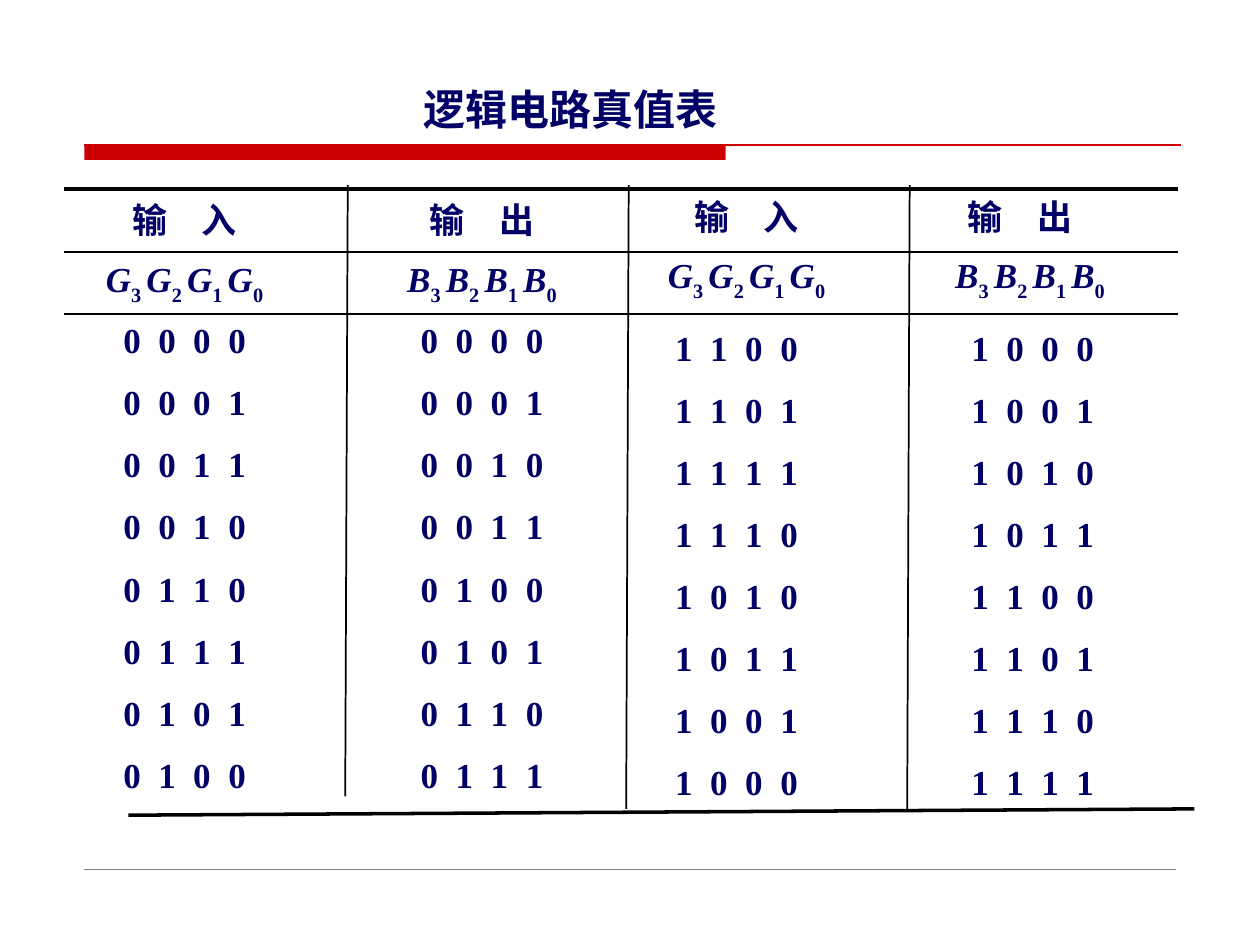
from dataclasses import dataclass

from lxml import etree
from pptx import Presentation
from pptx import util as u
from pptx.dml.color import RGBColor
from pptx.enum import shapes, text
from pptx.oxml import ns
from pptx.slide import Slide

NAVY = RGBColor(0x00, 0x00, 0x66)
RED = RGBColor(0xCC, 0x00, 0x00)
GRAY = RGBColor(0x80, 0x80, 0x80)
BLACK = RGBColor(0x00, 0x00, 0x00)

INPUT_WIDTH, OUTPUT_WIDTH = 1.91, 2.81
CELL_HEIGHT = 0.49
ROW_STEP = 0.493
ROWS_PER_HALF = 8


@dataclass
class TruthTableSlide:
    s: Slide
    font: str = "Times New Roman"
    size: int = 20
    color: RGBColor = NAVY

    def line(self, x1, y1, x2, y2, width=1, color=BLACK):
        sp = self.s.shapes.add_connector(
            shapes.MSO_CONNECTOR.STRAIGHT,
            u.Inches(x1), u.Inches(y1), u.Inches(x2), u.Inches(y2))
        sp.line.color.rgb = color
        sp.line.width = u.Pt(width)
        etree.SubElement(sp._element.spPr, ns.qn("a:effectLst"))

    def bar(self, x, y, w, h, color):
        sp = self.s.shapes.add_shape(
            shapes.MSO_SHAPE.RECTANGLE,
            u.Inches(x), u.Inches(y), u.Inches(w), u.Inches(h))
        sp.shadow.inherit = False
        sp.fill.solid()
        sp.fill.fore_color.rgb = color
        sp.line.fill.background()

    def box(self, x, y, w, h):
        """Add an empty text box and return its centred paragraph."""
        sp = self.s.shapes.add_textbox(
            u.Inches(x), u.Inches(y), u.Inches(w), u.Inches(h))
        tf = sp.text_frame
        tf.word_wrap = True
        tf.vertical_anchor = text.MSO_ANCHOR.MIDDLE
        p = tf.paragraphs[0]
        p.alignment = text.PP_ALIGN.CENTER
        return p

    def run(self, p, words, size=None, italic=False):
        r = p.add_run()
        r.text = words
        r.font.name = self.font
        r.font.size = u.Pt(size or self.size)
        r.font.bold = True
        r.font.italic = italic
        r.font.color.rgb = self.color
        return r

    def title(self, words, x, y, w, h):
        p = self.box(x, y, w, h)
        p.line_spacing = 2.0
        self.run(p, words, size=24)
        tf = p._parent
        tf.word_wrap = False
        tf.vertical_anchor = text.MSO_ANCHOR.TOP

    def spaced(self, words, x, y, w, spacing):
        """Add a cell whose characters are spread by spacing points."""
        p = self.box(x, y, w, CELL_HEIGHT)
        r = self.run(p, words[:-1])
        r._r.get_or_add_rPr().set("spc", str(int(spacing * 100)))
        self.run(p, words[-1])

    def bits(self, value, x, y, w):
        self.spaced(" ".join(f"{value:04b}"), x, y, w, 2.5)

    def variables(self, letter, x, y, w):
        """Add a cell naming the four bits, with subscript indices."""
        p = self.box(x, y, w, CELL_HEIGHT)
        for index in ("3 ", "2 ", "1 ", "0"):
            self.run(p, letter, italic=True)
            r = self.run(p, index)
            r._r.get_or_add_rPr().set("baseline", "-30000")

    def column(self, heading, letter, values, head_x, name_x, x, head_y, y, w):
        self.spaced(heading, head_x, head_y, w, 7.5)
        self.variables(letter, name_x, head_y + ROW_STEP, w)
        for i, value in enumerate(values):
            self.bits(value, x, y + i * ROW_STEP, w)


def main():
    prs = Presentation()
    prs.slide_width, prs.slide_height = u.Inches(10), u.Inches(7.5)
    table = TruthTableSlide(prs.slides.add_slide(prs.slide_layouts[6]))

    table.bar(0.67, 1.15, 5.09, 0.12, RED)
    table.line(0.67, 1.15, 9.37, 1.15, 0.75, RED)
    table.line(0.67, 6.9, 9.33, 6.9, 0.25, GRAY)
    table.title("逻辑电路真值表", 3.11, 0.21, 2.84, 0.9)

    # Heading, variable and value lefts for inputs, then outputs; two tops.
    halves = [
        ((0.51, 0.51, 0.51), (2.42, 2.42, 2.42), 1.5, 2.45),
        ((4.97, 4.97, 4.89), (6.69, 6.77, 6.79), 1.47, 2.51),
    ]
    for half, (inputs, outputs, head_y, y) in enumerate(halves):
        start = half * ROWS_PER_HALF
        binary = range(start, start + ROWS_PER_HALF)
        gray_code = [n ^ (n >> 1) for n in binary]
        table.column("输 入", "G", gray_code, *inputs, head_y, y, INPUT_WIDTH)
        table.column("输 出", "B", binary, *outputs, head_y, y, OUTPUT_WIDTH)

    for y, width in ((1.5, 2), (2, 1), (2.49, 1)):
        table.line(0.51, y, 9.35, y, width)
    for x, bottom in ((2.76, 6.32), (4.99, 6.42), (7.22, 6.42)):
        table.line(x, 1.47, x - 0.02, bottom)
    table.line(1.02, 6.47, 9.48, 6.42, 2)

    prs.save("out.pptx")


if __name__ == "__main__":
    main()
